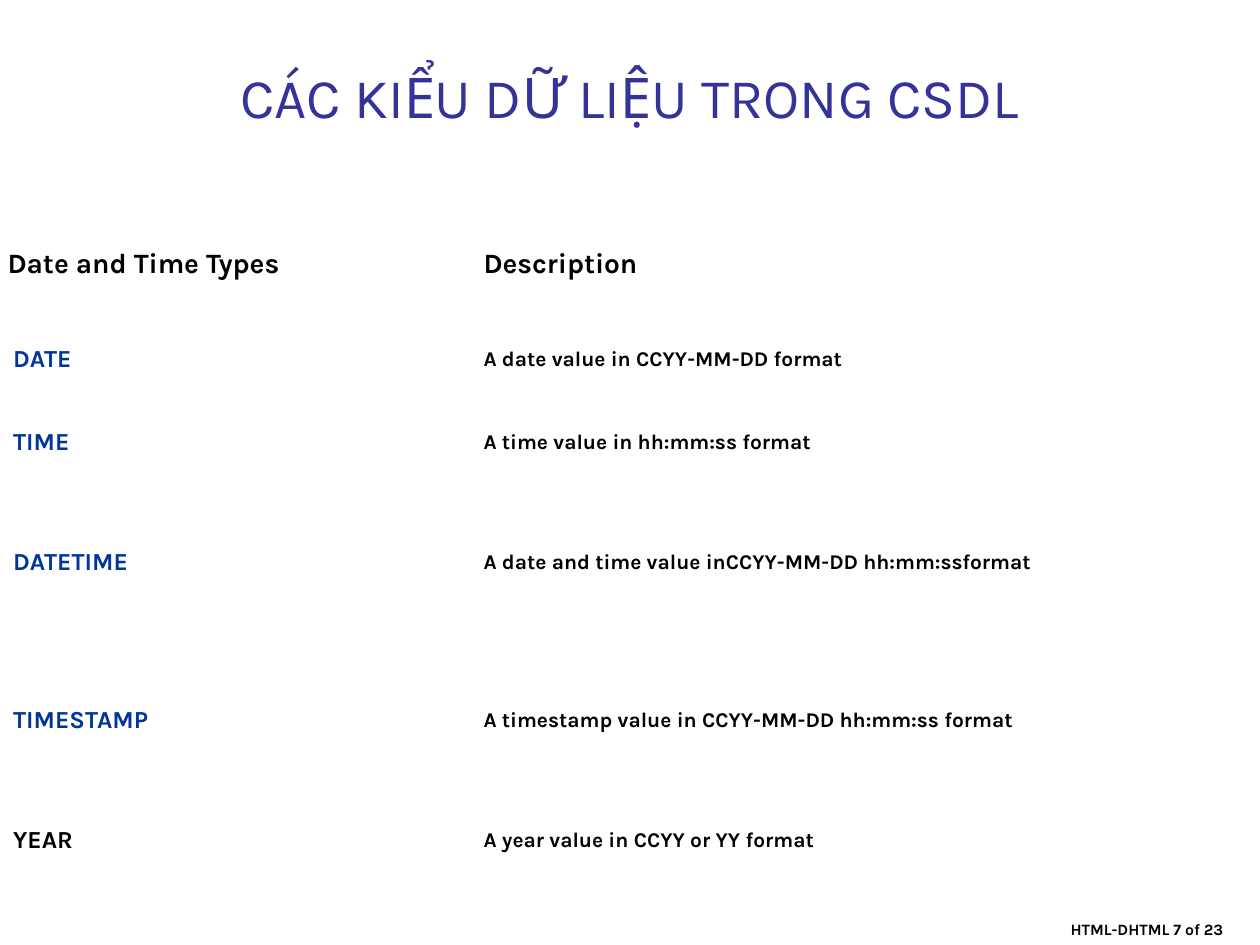
"""Build the slide that lists the date and time types of a database."""
from pptx import Presentation
from pptx.dml.color import RGBColor
from pptx.enum.text import MSO_ANCHOR as Anchor, PP_ALIGN as Align
from pptx.util import Pt

FONT = "Karla"
COLORS = {"title": "333399", "type": "00369A", "text": "000000", "cell": "FFFFFF"}
COLUMN_WIDTHS = (272, 448)
ROW_HEIGHTS = (62, 47.25, 47.25, 90, 90, 47.25)
HEADINGS = ("Date and Time Types", "Description")
DATE_TYPES = (
    ("DATE", "A date value in CCYY-MM-DD format", "type"),
    ("TIME", "A time value in hh:mm:ss format", "type"),
    ("DATETIME", "A date and time value inCCYY-MM-DD hh:mm:ssformat", "type"),
    ("TIMESTAMP", "A timestamp value in CCYY-MM-DD hh:mm:ss format", "type"),
    ("YEAR", "A year value in CCYY or YY format", "text"),
)


def write(frame, text, size, color="text", bold=True, align=Align.LEFT):
    """Write one formatted paragraph into a text frame."""
    frame.word_wrap = True
    paragraph = frame.paragraphs[0]
    paragraph.alignment = align
    run = paragraph.add_run()
    run.text = text
    run.font.name = FONT
    run.font.size = Pt(size)
    run.font.bold = bold
    run.font.color.rgb = RGBColor.from_string(COLORS[color])


def add_title(slide, text):
    """Place and format the title placeholder."""
    title = slide.shapes.title
    title.left, title.top, title.width, title.height = Pt(0), Pt(30), Pt(720), Pt(48)
    title.text_frame.vertical_anchor = Anchor.BOTTOM
    write(title.text_frame, text, 32, color="title", bold=False, align=Align.CENTER)


def add_footer(slide, text):
    """Add the page note at the bottom right."""
    footer = slide.shapes.add_textbox(Pt(292), Pt(504), Pt(414), Pt(36)).text_frame
    footer.vertical_anchor = Anchor.BOTTOM
    write(footer, text, 9, align=Align.RIGHT)


def fill_cell(cell, text, size, color="text", indent=4.32):
    """Fill one table cell with its background and text."""
    cell.fill.solid()
    cell.fill.fore_color.rgb = RGBColor.from_string(COLORS["cell"])
    cell.vertical_anchor = Anchor.MIDDLE
    cell.margin_left, cell.margin_right = Pt(indent), Pt(4.32)
    cell.margin_top = cell.margin_bottom = Pt(3.6)
    write(cell.text_frame, text, size, color=color)


def add_types_table(slide):
    """Add the table of types and their descriptions."""
    types = slide.shapes.add_table(
        len(ROW_HEIGHTS), len(COLUMN_WIDTHS),
        Pt(0), Pt(120), Pt(sum(COLUMN_WIDTHS)), Pt(sum(ROW_HEIGHTS)),
    ).table
    types.first_row = types.horz_banding = False
    for column, width in zip(types.columns, COLUMN_WIDTHS):
        column.width = Pt(width)
    for row, height in zip(types.rows, ROW_HEIGHTS):
        row.height = Pt(height)
    for column, heading in enumerate(HEADINGS):
        fill_cell(types.cell(0, column), heading, 16)
    for row, (name, description, color) in enumerate(DATE_TYPES, start=1):
        fill_cell(types.cell(row, 0), name, 14, color=color, indent=7.5)
        fill_cell(types.cell(row, 1), description, 12)


def main():
    """Build and save the presentation."""
    deck = Presentation()
    deck.slide_width, deck.slide_height = Pt(720), Pt(540)
    slide = deck.slides.add_slide(deck.slide_layouts[5])
    add_footer(slide, "HTML-DHTML 7 of 23")
    add_title(slide, "CÁC KIỂU DỮ LIỆU TRONG CSDL")
    add_types_table(slide)
    deck.save("out.pptx")


if __name__ == "__main__":
    main()
